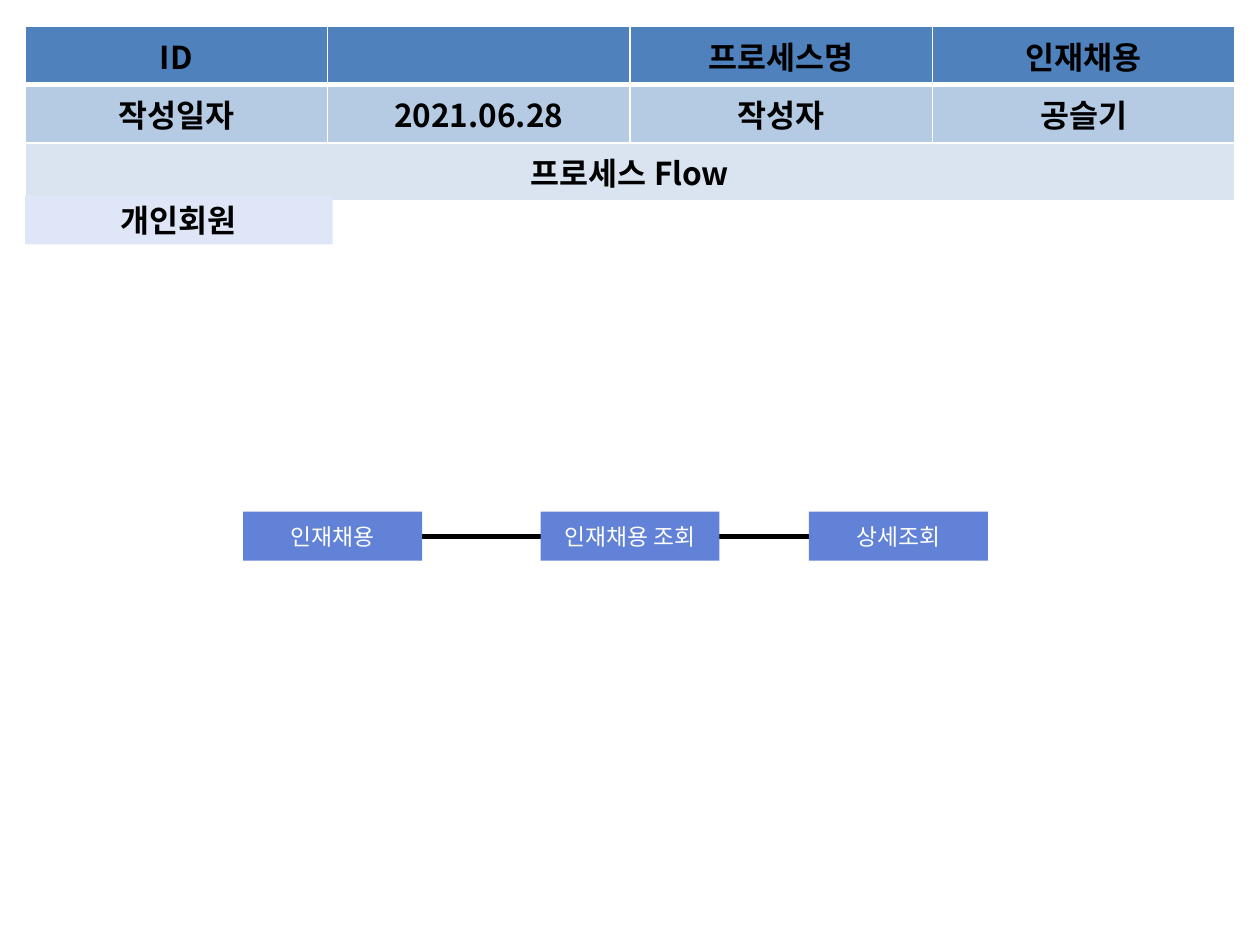
from pptx import Presentation
from pptx import util as u
from pptx.dml.color import RGBColor
from pptx.enum import shapes, text
from pptx.oxml import parse_xml
from pptx.oxml.ns import nsdecls, qn
from lxml import etree

FONT = "Noto Sans CJK KR"


def rgb(code):
    return RGBColor.from_string(code)


def write(frame, words, size, color, bold=False):
    frame.vertical_anchor = text.MSO_ANCHOR.MIDDLE
    para = frame.paragraphs[0]
    para.alignment = text.PP_ALIGN.CENTER
    run = para.add_run()
    run.text = words
    font = run.font
    font.size, font.bold, font.name = u.Pt(size), bold, FONT
    font.color.rgb = rgb(color)
    etree.SubElement(font._element, qn("a:ea"), typeface=FONT)


deck = Presentation()
deck.slide_width, deck.slide_height = u.Inches(10), u.Inches(7.5)
slide = deck.slides.add_slide(deck.slide_layouts[6])
items = slide.shapes

# Line behind the flow steps
line = items.add_connector(shapes.MSO_CONNECTOR.STRAIGHT, u.Inches(3.35),
                           u.Inches(4.26), u.Inches(6.42), u.Inches(4.26))
line.line.color.rgb = rgb("000000")
line.line.width = u.Pt(3)
etree.SubElement(line._element.spPr, qn("a:effectLst"))

# Header table
rows = [
    ("4F81BD", ["ID", "", "", "프로세스명", "인재채용"]),
    ("B5CAE3", ["작성일자", "", "2021.06.28", "작성자", "공슬기"]),
    ("DAE4F1", ["프로세스 Flow", "", "", "", ""]),
]
table = items.add_table(3, 5, u.Inches(0.2), u.Inches(0.21),
                        u.Inches(9.6), u.Inches(1.23)).table
for col, width in zip(table.columns, [1.02, 1.38, 2.4, 2.4, 2.4]):
    col.width = u.Inches(width)
for r, (fill, words) in enumerate(rows):
    table.rows[r].height = u.Inches(0.41)
    for c, word in enumerate(words):
        cell = table.cell(r, c)
        if word:
            write(cell.text_frame, word, 18, "000000", True)
        # White borders, thicker under the first row
        props = cell._tc.get_or_add_tcPr()
        for side in "LRTB":
            thick = (r, side) in [(0, "B"), (1, "T")]
            props.append(parse_xml(
                f'<a:ln{side} {nsdecls("a")} w="{u.Pt(3 if thick else 1)}">'
                f'<a:solidFill><a:srgbClr val="FFFFFF"/></a:solidFill>'
                f'</a:ln{side}>'))
        cell.fill.solid()
        cell.fill.fore_color.rgb = rgb(fill)
for r, last in enumerate([1, 1, 4]):
    table.cell(r, 0).merge(table.cell(r, last))

# Member label and flow steps
boxes = [
    ("개인회원", 0.2, 1.55, 2.44, "DFE6F7", 18, "000000", True),
    ("인재채용", 1.93, 4.06, 1.42, "6182D6", 13, "FFFFFF", False),
    ("인재채용 조회", 4.29, 4.06, 1.42, "6182D6", 13, "FFFFFF", False),
    ("상세조회", 6.42, 4.06, 1.42, "6182D6", 13, "FFFFFF", False),
]
for words, left, top, width, fill, size, color, bold in boxes:
    box = items.add_shape(shapes.MSO_SHAPE.RECTANGLE, u.Inches(left),
                          u.Inches(top), u.Inches(width), u.Inches(0.39))
    box.shadow.inherit = False
    box.fill.solid()
    box.fill.fore_color.rgb = rgb(fill)
    box.line.fill.background()
    write(box.text_frame, words, size, color, bold)

deck.save("out.pptx")
